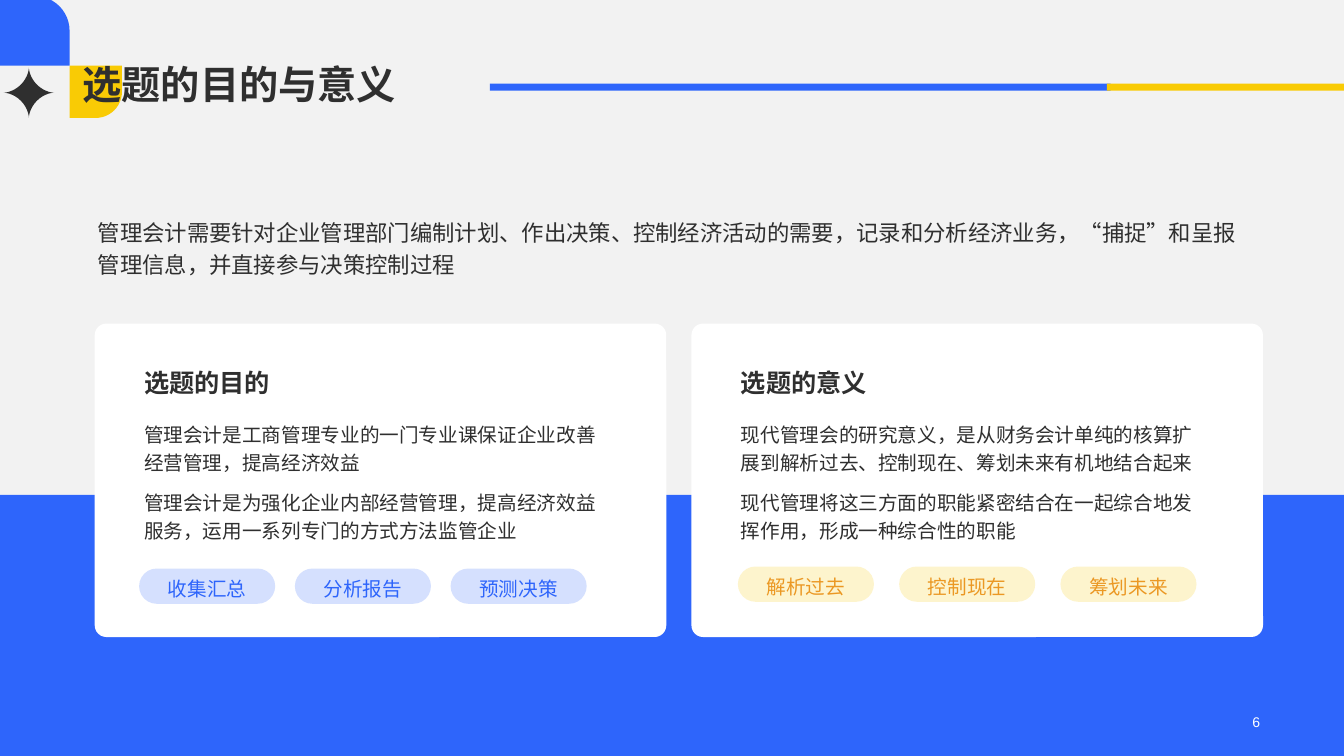
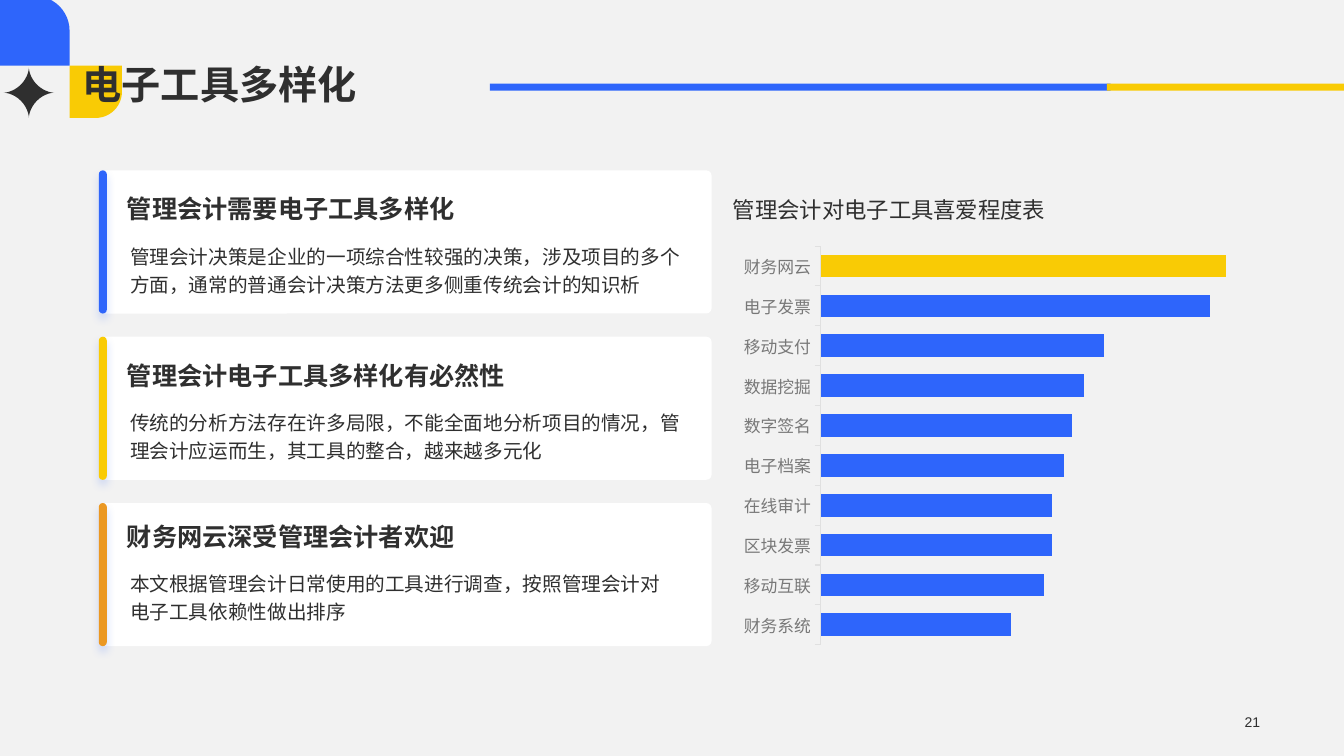
import math

from lxml import etree
from pptx import Presentation, util as u
from pptx.chart.data import CategoryChartData
from pptx.dml.color import RGBColor
from pptx.enum import chart as charts, lang, shapes, text
from pptx.oxml import parse_xml
from pptx.oxml.ns import nsdecls, qn

BLUE = RGBColor(0x2E, 0x65, 0xFB)
YELLOW = RGBColor(0xF9, 0xCB, 0x05)
ORANGE = RGBColor(0xEB, 0x98, 0x23)
INK = RGBColor(0x2F, 0x2F, 0x2F)
GREY = RGBColor(0x78, 0x78, 0x78)
AXIS = RGBColor(0xE0, 0xE0, 0xE0)
PAPER = RGBColor(0xF2, 0xF2, 0xF2)
WHITE = RGBColor(0xFF, 0xFF, 0xFF)

CELL = u.Inches(0.1)
COLUMNS, ROWS = 133.33, 75
HAN_FONT, LATIN_FONT = "Noto Sans CJK SC", "Arial"
KIND = shapes.MSO_SHAPE

FONTS = {
    "title": dict(name=LATIN_FONT, size=u.Pt(28), bold=True),
    "heading": dict(name=HAN_FONT, size=u.Pt(18), bold=True),
    "lead": dict(name=HAN_FONT, size=u.Pt(16)),
    "caption": dict(name=HAN_FONT, size=u.Pt(16)),
    "body": dict(name=HAN_FONT, size=u.Pt(14)),
    "number": dict(name=LATIN_FONT, size=u.Pt(10)),
}
PARAGRAPHS = {
    "title": dict(line_spacing=0.9),
    "lead": dict(line_spacing=1.2),
    "body": dict(line_spacing=1.2),
    "number": dict(alignment=text.PP_ALIGN.RIGHT),
}


def cells(*counts):
    return [round(count * CELL) for count in counts]


def apply(target, values):
    for name, value in values.items():
        setattr(target, name, value)


def add_han_font(element, tag):
    """Name the East Asian font in every run property element with this tag."""
    for properties in element.iter(qn(tag)):
        etree.SubElement(properties, qn("a:ea")).set("typeface", HAN_FONT)


class Deck:
    """Holds the style and the current slide; lengths are grid cells."""

    def __init__(self):
        self.presentation = Presentation()
        width, height = cells(COLUMNS, ROWS)
        apply(self.presentation, dict(slide_width=width, slide_height=height))
        self.slide = None

    def new_slide(self, title, number, number_color=INK, band_top=None):
        self.slide = self.presentation.slides.add_slide(self.presentation.slide_layouts[6])
        background = self.slide.background.fill
        background.solid()
        background.fore_color.rgb = PAPER
        self.block((6.9, 6.5, 5.2, 5.2), YELLOW, KIND.ROUND_1_RECTANGLE, 0.5).rotation = 90
        self.block((0, -0.4, 6.9, 6.9), BLUE, KIND.ROUND_1_RECTANGLE, 0.5)
        self.sparkle(2.87, 9.2, 2.5)
        self.block((48.6, 8.3, 61.6, 0.7), BLUE)
        self.block((109.8, 8.3, 23.53, 0.7), YELLOW)
        if band_top is not None:
            self.block((0, band_top, COLUMNS, ROWS - band_top), BLUE)
        self.label((8.2, 0, 116.8, 10.7), title, "title", anchor=text.MSO_ANCHOR.BOTTOM)
        self.label((97.9, 70.4, 27.1, 2.4), number, "number", number_color,
                   text.MSO_ANCHOR.MIDDLE)

    def paint(self, shape, color):
        shape.shadow.inherit = False
        shape.fill.solid()
        shape.fill.fore_color.rgb = color
        shape.line.fill.background()
        return shape

    def block(self, box, color, kind=KIND.RECTANGLE, rounding=None):
        shape = self.slide.shapes.add_shape(kind, *cells(*box))
        if rounding is not None:
            shape.adjustments[0] = rounding
        return self.paint(shape, color)

    def sparkle(self, center_x, center_y, radius, steps=64, sharpness=3.3):
        """Draw a four-pointed star with hollow curved sides."""
        def reach(value):
            return radius * math.copysign(abs(value) ** sharpness, value)

        angles = [2 * math.pi * step / steps for step in range(steps)]
        points = [cells(center_x + reach(math.cos(angle)), center_y + reach(math.sin(angle)))
                  for angle in angles]
        builder = self.slide.shapes.build_freeform(*points[0])
        builder.add_line_segments(points[1:], close=True)
        self.paint(builder.convert_to_shape(), INK)

    def label(self, box, words, style, color=INK, anchor=text.MSO_ANCHOR.TOP):
        shape = self.slide.shapes.add_textbox(*cells(*box))
        self.fill_text(shape, words, style, color, anchor)

    def fill_text(self, shape, words, style, color, anchor, **paragraph_format):
        frame = shape.text_frame
        apply(frame, dict(word_wrap=True, vertical_anchor=anchor, margin_left=0,
                          margin_right=0, margin_top=0, margin_bottom=0))
        paragraph = frame.paragraphs[0]
        apply(paragraph, {**PARAGRAPHS.get(style, {}), **paragraph_format})
        run = paragraph.add_run()
        run.text = words
        apply(run.font, FONTS[style])
        run.font.language_id = lang.MSO_LANGUAGE_ID.SIMPLIFIED_CHINESE
        run.font.color.rgb = color
        add_han_font(shape.element, "a:rPr")

    def chip(self, left, top, words, fill, color):
        shape = self.block((left, top, 13.5, 3.5), fill, KIND.ROUNDED_RECTANGLE, 0.5)
        tint = next(shape.element.spPr.iter(qn("a:srgbClr")))
        etree.SubElement(tint, qn("a:alpha")).set("val", "20000")
        self.fill_text(shape, words, "body", color, text.MSO_ANCHOR.MIDDLE,
                       alignment=text.PP_ALIGN.CENTER)

    def topic_card(self, left, heading, bodies, chips):
        self.block((left, 32.1, 56.7, 31.1), WHITE, KIND.ROUNDED_RECTANGLE, 0.037)
        inner = left + 4.9
        self.label((inner, 36.4, 46.7, 3), heading, "heading")
        for row, body in enumerate(bodies):
            self.label((inner, 41.5 + 6.7 * row, 46.7, 5.4), body, "body")
        for column, words in enumerate(chips["words"]):
            self.chip(left + chips["inset"] + chips["step"] * column, chips["top"],
                      words, chips["fill"], chips["color"])

    def accent_card(self, top, color, heading, body, heading_inset=2.3, body_width=54.8):
        height = 14.2
        self.block((10, top, 60.6, height), WHITE, KIND.ROUNDED_RECTANGLE, 0.037)
        bar = self.block((9.8, top, 0.8, height), color, KIND.ROUNDED_RECTANGLE, 0.5)
        bar.element.spPr.find(qn("a:effectLst")).append(parse_xml(
            f'<a:outerShdw {nsdecls("a")} blurRad="{u.Pt(6)}" dist="{u.Pt(4)}" dir="5400000">'
            f'<a:srgbClr val="{BLUE}"><a:alpha val="20000"/></a:srgbClr></a:outerShdw>'))
        heading_top = top + heading_inset
        self.label((12.6, heading_top, 55, 3), heading, "heading")
        self.label((12.9, heading_top + 4.6, body_width, 5.4), body, "body")

    def bar_chart(self, box, scores):
        """Draw a ranking with the leading bar highlighted."""
        data = CategoryChartData()
        data.categories = list(scores)
        data.add_series("Series 1", list(scores.values()))
        chart = self.slide.shapes.add_chart(
            charts.XL_CHART_TYPE.BAR_CLUSTERED, *cells(*box), data).chart
        apply(chart, dict(has_legend=False, has_title=False))
        apply(chart.font, dict(name=LATIN_FONT, size=u.Pt(10)))
        chart.font.color.rgb = INK
        apply(chart.value_axis, dict(visible=False, has_major_gridlines=False,
                                     minimum_scale=0, maximum_scale=110))
        axis = chart.category_axis
        apply(axis, dict(reverse_order=True, has_major_gridlines=False,
                         major_tick_mark=charts.XL_TICK_MARK.OUTSIDE))
        axis.format.line.color.rgb = AXIS
        axis.format.line.width = u.Pt(0.75)
        apply(axis.tick_labels.font, dict(name=HAN_FONT, size=u.Pt(12)))
        axis.tick_labels.font.color.rgb = GREY
        plot = chart.plots[0]
        apply(plot, dict(gap_width=75, vary_by_categories=False))
        series = plot.series[0]
        for target, color in ((series, BLUE), (series.points[0], YELLOW)):
            target.format.fill.solid()
            target.format.fill.fore_color.rgb = color
        add_han_font(chart._chartSpace, "a:defRPr")
        self.place_plot(chart, dict(x=0.16, y=0.02, w=0.81, h=0.96))

    def place_plot(self, chart, shares):
        """Fix the inner plot area as shares of the chart's size."""
        area = next(chart._chartSpace.iter(qn("c:plotArea")))
        for layout in area.findall(qn("c:layout")):
            area.remove(layout)
        modes = "".join(f'<c:{side}Mode val="edge"/>' for side in "xy")
        sizes = "".join(f'<c:{side} val="{share}"/>' for side, share in shares.items())
        area.insert(0, parse_xml(
            f'<c:layout {nsdecls("c")}><c:manualLayout><c:layoutTarget val="inner"/>'
            f'{modes}{sizes}</c:manualLayout></c:layout>'))


def build_purpose(deck):
    deck.new_slide("选题的目的与意义", "6", WHITE, band_top=49.1)
    deck.label((9.7, 21.2, 114.2, 6.2),
               "管理会计需要针对企业管理部门编制计划、作出决策、控制经济活动的需要，记录和分析经济业务，"
               "“捕捉”和呈报管理信息，并直接参与决策控制过程", "lead")
    deck.topic_card(
        9.4, "选题的目的",
        ["管理会计是工商管理专业的一门专业课保证企业改善经营管理，提高经济效益",
         "管理会计是为强化企业内部经营管理，提高经济效益服务，运用一系列专门的方式方法监管企业"],
        dict(words=["收集汇总", "分析报告", "预测决策"], inset=4.4, step=15.45, top=56.4,
             fill=BLUE, color=BLUE))
    deck.topic_card(
        68.6, "选题的意义",
        ["现代管理会的研究意义，是从财务会计单纯的核算扩展到解析过去、控制现在、筹划未来有机地结合起来",
         "现代管理将这三方面的职能紧密结合在一起综合地发挥作用，形成一种综合性的职能"],
        dict(words=["解析过去", "控制现在", "筹划未来"], inset=4.6, step=16, top=56.2,
             fill=YELLOW, color=ORANGE))


def build_tools(deck):
    deck.new_slide("电子工具多样化", "21")
    cards = [
        dict(color=BLUE, heading="管理会计需要电子工具多样化",
             body="管理会计决策是企业的一项综合性较强的决策，涉及项目的多个方面，"
                  "通常的普通会计决策方法更多侧重传统会计的知识析"),
        dict(color=YELLOW, heading="管理会计电子工具多样化有必然性",
             body="传统的分析方法存在许多局限，不能全面地分析项目的情况，"
                  "管理会计应运而生，其工具的整合，越来越多元化"),
        dict(color=ORANGE, heading="财务网云深受管理会计者欢迎",
             body="本文根据管理会计日常使用的工具进行调查，按照管理会计对电子工具依赖性做出排序",
             heading_inset=1.8, body_width=52.8),
    ]
    for row, card in enumerate(cards):
        deck.accent_card(16.9 + 16.5 * row, **card)
    deck.bar_chart((72.7, 23.6, 54.6, 41.2), {
        "财务网云": 100, "电子发票": 96, "移动支付": 70, "数据挖掘": 65, "数字签名": 62,
        "电子档案": 60, "在线审计": 57, "区块发票": 57, "移动互联": 55, "财务系统": 47})
    deck.label((72.7, 19.5, 41.7, 2.7), "管理会计对电子工具喜爱程度表", "caption")


def main():
    deck = Deck()
    build_purpose(deck)
    build_tools(deck)
    deck.presentation.save("out.pptx")


if __name__ == "__main__":
    main()
